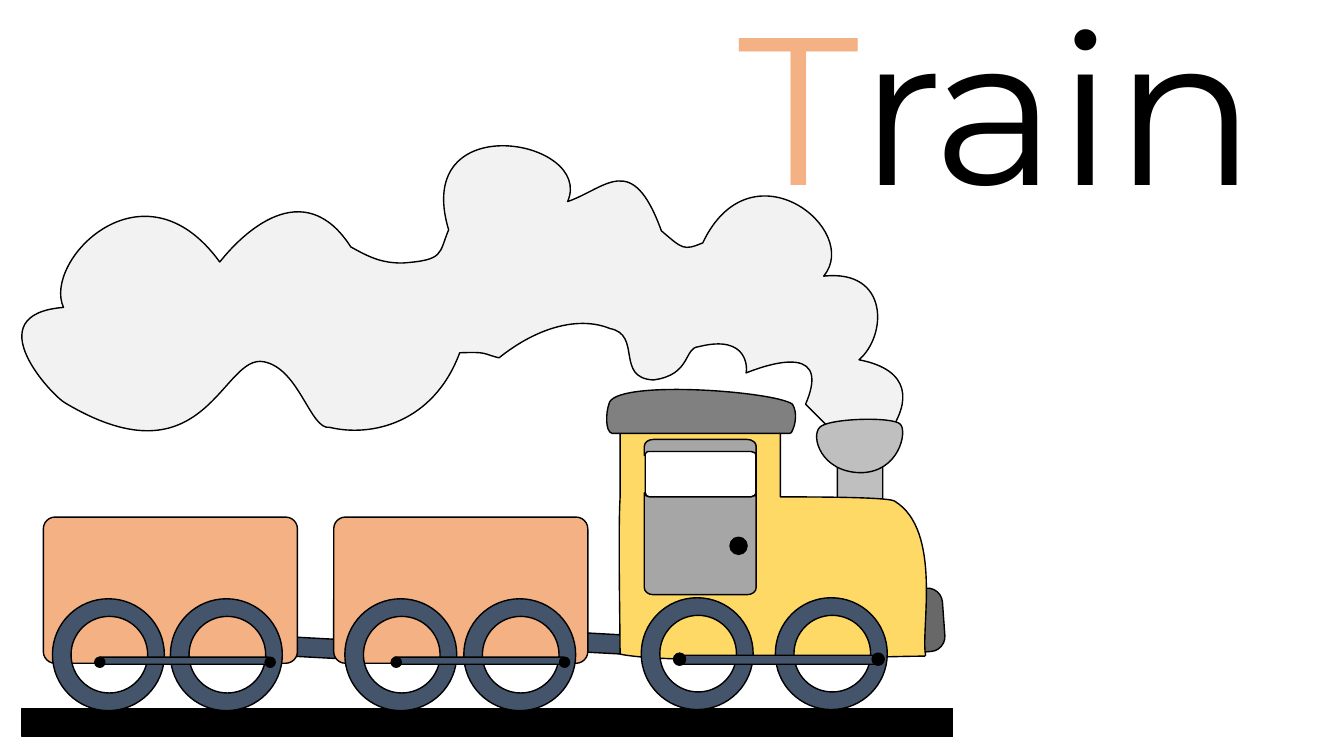
from lxml import etree
from pptx import Presentation
from pptx.dml.color import RGBColor
from pptx.enum.shapes import MSO_SHAPE as SHAPE
from pptx.enum.text import MSO_AUTO_SIZE as AUTO_SIZE
from pptx.oxml.ns import qn
from pptx.util import Inches, Pt

BLACK, PEACH, STEEL, YELLOW = "000000", "F4B183", "44546A", "FFD966"
SMOKE_GRAY, FUNNEL_GRAY, DOOR_GRAY = "F2F2F2", "BFBFBF", "A6A6A6"
ROOF_GRAY, LAMP_GRAY = "808080", "686868"
WHEEL_SIZE = 1.11

# An outline is a list of contours. In a contour, two numbers are a corner;
# six are a cubic curve: two control points and an end point.
SMOKE = [[
    (8.82, 4.29), (9.03, 3.99, 9.04, 3.67, 8.52, 3.57),
    (8.8, 3.33, 8.82, 2.67, 8.17, 2.74), (8.55, 2.28, 7.45, 1.4, 6.97, 2.41),
    (6.78, 2.49, 6.77, 2.47, 6.56, 2.29), (6.27, 1.49, 6.01, 1.87, 5.63, 2),
    (5.9, 1.38, 4.08, 1.05, 4.45, 2.28), (4.35, 2.52, 4.41, 2.58, 3.99, 2.61),
    (3.78, 2.61, 3.66, 2.55, 3.48, 2.45), (3.01, 1.72, 2.4, 2.32, 2.18, 2.6),
    (1.42, 1.55, 0.42, 2.59, 0.63, 3.05), (-0.25, 3.12, 0.53, 3.94, 0.65, 4),
    (2.05, 4.83, 2.2, 3.5, 2.62, 3.59), (2.97, 3.66, 3.08, 4.27, 3.27, 4.24),
    (3.68, 4.34, 4.3, 4.2, 4.56, 3.5), (4.85, 3.49, 4.78, 3.51, 4.95, 3.55),
    (5.35, 3.23, 5.76, 3.14, 6.05, 3.26), (6.37, 3.32, 6.1, 3.75, 6.48, 3.77),
    (6.86, 3.72, 6.78, 3.45, 6.93, 3.44), (7.44, 3.31, 7.41, 3.68, 7.4, 3.7),
    (7.48, 3.67, 8.28, 3.34, 7.99, 4.01), (8.25, 4.27),
    (8.41, 4.22, 8.7, 4.39, 8.86, 4.34), (8.82, 4.29),
]]
FUNNEL_TOP = [[
    (8.93, 4.21), (8.86, 4.13, 8.21, 4.15, 8.13, 4.24),
    (8.04, 4.33, 8.14, 4.68, 8.53, 4.69), (8.92, 4.69, 9, 4.28, 8.93, 4.21),
]]
CAB_OPENING = [
    (7.45, 4.38), (7.48, 4.38, 7.5, 4.4, 7.5, 4.43), (7.5, 4.89),
    (7.5, 4.91, 7.48, 4.93, 7.45, 4.93), (6.44, 4.93),
    (6.43, 4.93, 6.42, 4.93, 6.41, 4.92), (6.4, 4.89), (6.4, 4.43),
    (6.41, 4.4), (6.42, 4.39, 6.43, 4.38, 6.44, 4.38), (7.45, 4.38),
]
ENGINE_BODY = [[
    (7.61, 3.99), (6.28, 3.99), (6.21, 3.99, 6.15, 4.04, 6.15, 4.11),
    (6.15, 4.94), (6.13, 5.25, 6.15, 6.23, 6.15, 6.49),
    (6.69, 6.6, 8.67, 6.51, 9.17, 6.51), (9.18, 6.51, 9.18, 6.5, 9.18, 6.5),
    (9.13, 6.24, 9.35, 5.26, 8.87, 4.97), (8.81, 4.94, 8.36, 4.93, 7.8, 4.93),
    (7.74, 4.93), (7.74, 4.11), (7.74, 4.04, 7.68, 3.99, 7.61, 3.99),
], CAB_OPENING]
DOOR = [[
    (7.41, 4.36), (6.48, 4.36), (6.43, 4.36, 6.39, 4.39, 6.39, 4.43),
    (6.39, 4.52), (6.41, 4.49), (6.41, 4.48, 6.43, 4.48, 6.44, 4.48),
    (7.45, 4.48), (7.48, 4.48, 7.5, 4.5, 7.5, 4.52), (7.5, 4.89),
    (7.5, 4.91, 7.48, 4.93, 7.45, 4.93), (6.44, 4.93),
    (6.43, 4.93, 6.41, 4.92, 6.41, 4.92), (6.39, 4.89), (6.39, 5.83),
    (6.39, 5.87, 6.43, 5.9, 6.48, 5.9), (7.41, 5.9),
    (7.46, 5.9, 7.5, 5.87, 7.5, 5.83), (7.5, 4.43),
    (7.5, 4.39, 7.46, 4.36, 7.41, 4.36),
]]
ROOF = [[
    (7.83, 4.3), (7.84, 4.3, 7.86, 4.29, 7.86, 4.27),
    (7.89, 4.21, 7.91, 4.09, 7.86, 4.01), (7.68, 3.88, 6.07, 3.76, 6.04, 4.01),
    (6.01, 4.09, 6, 4.28, 6.07, 4.3), (7.83, 4.3),
]]


def rgb(hex_color):
    return RGBColor.from_string(hex_color)


def paint(part, fill):
    """Give a part its fill (None for no fill) and the common thin black line."""
    part.shadow.inherit = False
    if fill is None:
        part.fill.background()
    else:
        part.fill.solid()
        part.fill.fore_color.rgb = rgb(fill)
    part.line.color.rgb = rgb(BLACK)
    part.line.width = Pt(1)


def add_part(train, kind, box, fill, corner=None, rotation=0):
    part = train.add_shape(kind, *map(Inches, box))
    if corner is not None:
        part.adjustments[0] = corner
    part.rotation = rotation
    paint(part, fill)


def add_outline(train, box, contours, fill):
    """Span the box with a freeform, then give it the contours with true curves."""
    left, top, width, height = map(Inches, box)
    builder = train.build_freeform(left, top)
    builder.add_line_segments([(left + width, top + height)], close=True)
    part = builder.convert_to_shape()
    route = next(part._element.iter(qn("a:path")))
    for command in list(route):
        route.remove(command)
    for contour in contours:
        for i, step in enumerate(contour):
            tag = "a:moveTo" if i == 0 else "a:lnTo" if len(step) == 2 else "a:cubicBezTo"
            command = etree.SubElement(route, qn(tag))
            for x, y in zip(step[::2], step[1::2]):
                etree.SubElement(command, qn("a:pt"),
                                 x=str(Inches(x) - left), y=str(Inches(y) - top))
        etree.SubElement(route, qn("a:close"))
    paint(part, fill)


def circle(x, y, radius):
    """Return a contour of four curves around a centre."""
    r, k = radius, 0.5523 * radius
    return [
        (x, y - r), (x - k, y - r, x - r, y - k, x - r, y),
        (x - r, y + k, x - k, y + r, x, y + r),
        (x + k, y + r, x + r, y + k, x + r, y),
        (x + r, y - k, x + k, y - r, x, y - r),
    ]


def add_wheel(train, left, top):
    radius = WHEEL_SIZE / 2
    x, y = left + radius, top + radius
    rings = [circle(x, y, radius), circle(x + 0.01, y, 0.38)]
    add_outline(train, (left, top, WHEEL_SIZE, WHEEL_SIZE), rings, STEEL)


def add_rod(train, left, top, width, height):
    add_part(train, SHAPE.ROUNDED_RECTANGLE, (left, top, width, height), STEEL)


def add_coupling(train, left, top):
    add_part(train, SHAPE.ROUNDED_RECTANGLE, (left, top, 0.63, 0.19), STEEL, 0.33, 3.1)


def add_dot(train, left, top, size):
    add_part(train, SHAPE.OVAL, (left, top, size, size), BLACK)


def outline_letters(run):
    line = etree.Element(qn("a:ln"), w=str(Pt(0.75)))
    fill = etree.SubElement(line, qn("a:solidFill"))
    etree.SubElement(fill, qn("a:srgbClr"), val=BLACK)
    run._r.get_or_add_rPr().insert(0, line)


def add_title(slide):
    title = slide.shapes.add_textbox(Inches(7.23), Inches(-0.29), Inches(6.11), Inches(2.63))
    title.text_frame.word_wrap = True
    title.text_frame.auto_size = AUTO_SIZE.SHAPE_TO_FIT_TEXT
    word = title.text_frame.paragraphs[0]
    word.font.size = Pt(150)
    word.font.name = "Montserrat"
    for letters, color in (("T", PEACH), ("rain", BLACK)):
        run = word.add_run()
        run.text = letters
        run.font.color.rgb = rgb(color)
    outline_letters(word.runs[0])


def add_engine(train):
    add_part(train, SHAPE.ROUNDED_RECTANGLE, (8.82, 5.93, 0.63, 0.45), LAMP_GRAY, 0.33, 85.8)
    add_coupling(train, 5.7, 6.29)
    add_outline(train, (0.22, 1.45, 8.74, 2.9), SMOKE, SMOKE_GRAY)
    add_part(train, SHAPE.ROUNDED_RECTANGLE, (7.87, 5.01, 1.32, 0.45), FUNNEL_GRAY, 0.08, 90)
    add_outline(train, (8.1, 4.16, 0.85, 0.53), FUNNEL_TOP, FUNNEL_GRAY)
    add_outline(train, (6.4, 4.38, 1.1, 0.55), [CAB_OPENING], None)
    add_outline(train, (6.14, 3.99, 3.05, 2.56), ENGINE_BODY, YELLOW)
    add_outline(train, (6.39, 4.36, 1.11, 1.54), DOOR, DOOR_GRAY)


def add_wagons(train):
    add_coupling(train, 2.78, 6.33)
    for left in (0.43, 3.31):
        add_part(train, SHAPE.ROUNDED_RECTANGLE, (left, 5.13, 2.52, 1.45), PEACH, 0.08)


def add_running_gear(train):
    for left, top in ((6.36, 5.93), (7.69, 5.93), (4.6, 5.94),
                      (3.42, 5.94), (1.69, 5.94), (0.52, 5.94)):
        add_wheel(train, left, top)
    add_rod(train, 6.73, 6.5, 1.98, 0.09)
    for left in (3.91, 0.98):
        add_rod(train, left, 6.52, 1.69, 0.07)
    for left in (5.55, 3.88, 2.63, 0.94):
        add_dot(train, left, 6.52, 0.1)
    for left in (6.68, 8.65):
        add_dot(train, left, 6.48, 0.12)


def main():
    deck = Presentation()
    deck.slide_width, deck.slide_height = Inches(13.33), Inches(7.5)
    slide = deck.slides.add_slide(deck.slide_layouts[6])
    add_title(slide)

    train = slide.shapes.add_group_shape().shapes
    add_engine(train)
    add_wagons(train)
    add_outline(train, (6.02, 3.86, 1.87, 0.44), ROOF, ROOF_GRAY)
    add_dot(train, 7.24, 5.33, 0.17)
    add_part(train, SHAPE.RECTANGLE, (0.22, 7.03, 9.23, 0.28), BLACK)
    add_running_gear(train)

    deck.save("out.pptx")


if __name__ == "__main__":
    main()
